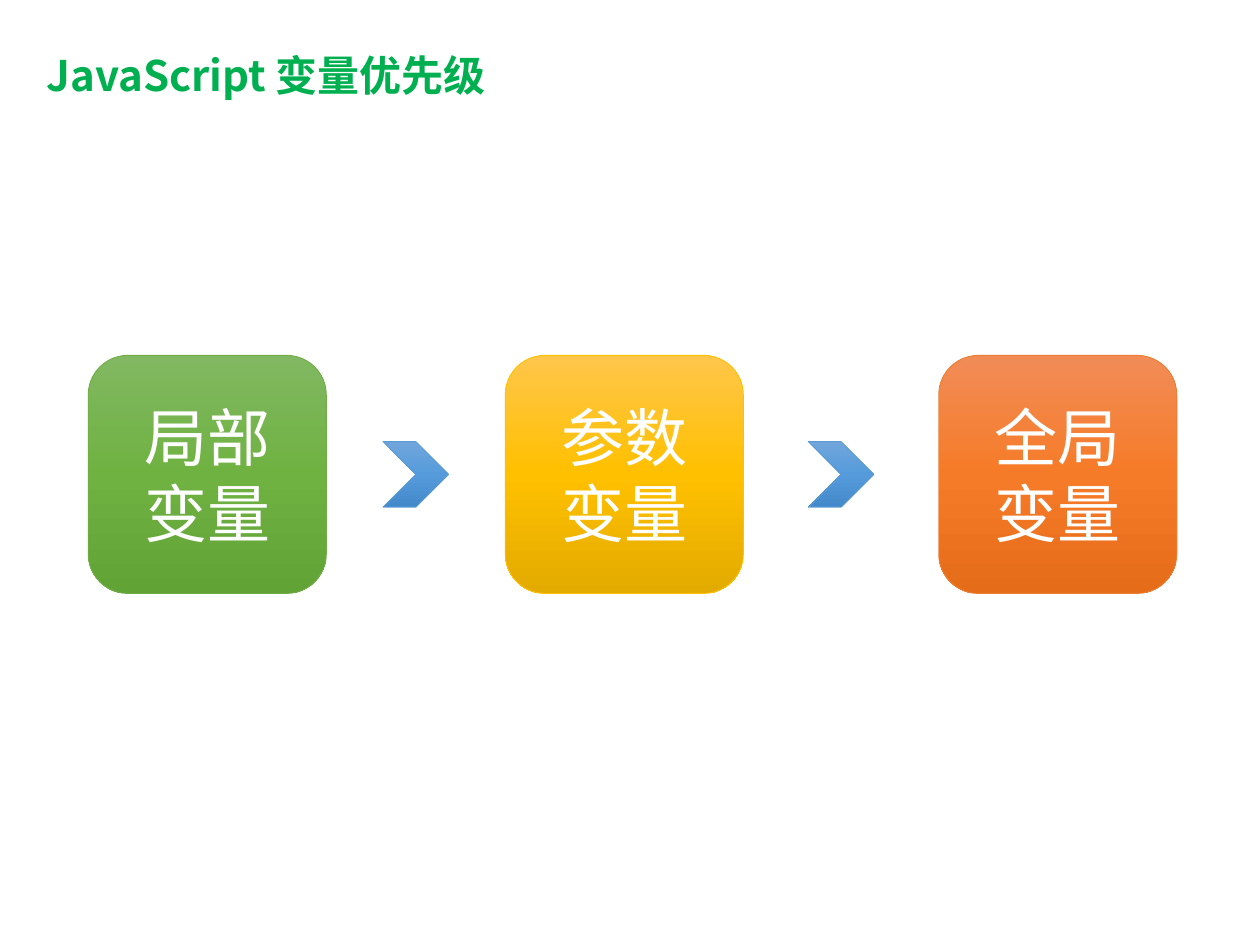
import copy

import pptx
import pptx.dml.color
import pptx.enum.shapes
import pptx.enum.text
import pptx.oxml
import pptx.oxml.ns
import pptx.util

Inches = pptx.util.Inches
Pt = pptx.util.Pt
qn = pptx.oxml.ns.qn
SHAPES = pptx.enum.shapes.MSO_SHAPE
ALIGN = pptx.enum.text.PP_ALIGN

FONT = "Noto Sans CJK SC"
COLORS = {"title": "00B050", "text": "FFFFFF"}
# Gradient from top to bottom, and outline
GRADIENTS = {
    "green": ("81B861", "6FB242", "62A336"),
    "gold": ("FFC64B", "FFC000", "E3AB00"),
    "orange": ("F18C57", "F67B28", "E56C19"),
    "blue": ("71A6DB", "559BDB", "448ACA"),
}
OUTLINES = {"green": "70AD47", "gold": "FFC000", "orange": "ED7D31", "blue": "5B9BD5"}


def rgb(value):
    return pptx.dml.color.RGBColor.from_string(value)


class SlideBuilder:
    def __init__(self, slide):
        self.slide = slide

    def style_paragraph(self, paragraph, size, color, bold=False, align=ALIGN.LEFT):
        paragraph.alignment = align
        font = paragraph.font
        font.size = Pt(size)
        font.bold = bold
        font.color.rgb = rgb(color)
        font.name = FONT
        # Chinese characters take the East Asian typeface
        properties = paragraph._p.pPr.find(qn("a:defRPr"))
        east_asian = copy.deepcopy(properties.find(qn("a:latin")))
        east_asian.tag = qn("a:ea")
        properties.find(qn("a:latin")).addnext(east_asian)

    def title(self, text, left, top, width, height):
        box = self.slide.shapes.add_textbox(
            Inches(left), Inches(top), Inches(width), Inches(height))
        frame = box.text_frame
        frame.word_wrap = True
        frame.vertical_anchor = pptx.enum.text.MSO_ANCHOR.MIDDLE
        frame.text = text
        paragraph = frame.paragraphs[0]
        paragraph.line_spacing = 0.9
        self.style_paragraph(paragraph, 24, COLORS["title"], bold=True)

    def gradient_shape(self, kind, left, top, size, palette):
        shape = self.slide.shapes.add_shape(
            kind, Inches(left), Inches(top), Inches(size), Inches(size))
        shape.shadow.inherit = False
        shape.line.color.rgb = rgb(OUTLINES[palette])
        shape.line.width = Pt(0.5)
        fill = shape.fill
        fill.gradient()
        fill.gradient_angle = 270
        # The default gradient has two stops; add a middle one
        first = shape._element.spPr.find(qn("a:gradFill")).find(qn("a:gsLst"))[0]
        first.addnext(copy.deepcopy(first))
        for index, (stop, color) in enumerate(zip(fill.gradient_stops, GRADIENTS[palette])):
            stop.position = index / 2
            stop.color.rgb = rgb(color)
        return shape

    def card(self, lines, left, top, size, palette):
        shape = self.gradient_shape(SHAPES.ROUNDED_RECTANGLE, left, top, size, palette)
        frame = shape.text_frame
        frame.vertical_anchor = pptx.enum.text.MSO_ANCHOR.MIDDLE
        frame.text = "\n".join(lines)
        for paragraph in frame.paragraphs:
            self.style_paragraph(paragraph, 36, COLORS["text"], align=ALIGN.CENTER)

    def chevron(self, center_x, center_y, size):
        self.gradient_shape(
            SHAPES.CHEVRON, center_x - size / 2, center_y - size / 2, size, "blue")


def main():
    presentation = pptx.Presentation()
    presentation.slide_width = Inches(10)
    presentation.slide_height = Inches(7.5)
    builder = SlideBuilder(presentation.slides.add_slide(presentation.slide_layouts[6]))

    builder.title("JavaScript 变量优先级", 0.27, 0.34, 4.65, 0.56)

    # Variable kinds in order of priority
    card_top, card_size = 2.82, 1.89
    cards = [("局部", 0.7, "green"), ("参数", 4.01, "gold"), ("全局", 7.45, "orange")]
    for scope, left, palette in cards:
        builder.card((scope, "变量"), left, card_top, card_size, palette)

    # A chevron in the middle of each gap
    for (_, left, _), (_, next_left, _) in zip(cards, cards[1:]):
        builder.chevron((left + card_size + next_left) / 2, card_top + card_size / 2, 0.52)

    presentation.save("out.pptx")


if __name__ == "__main__":
    main()
